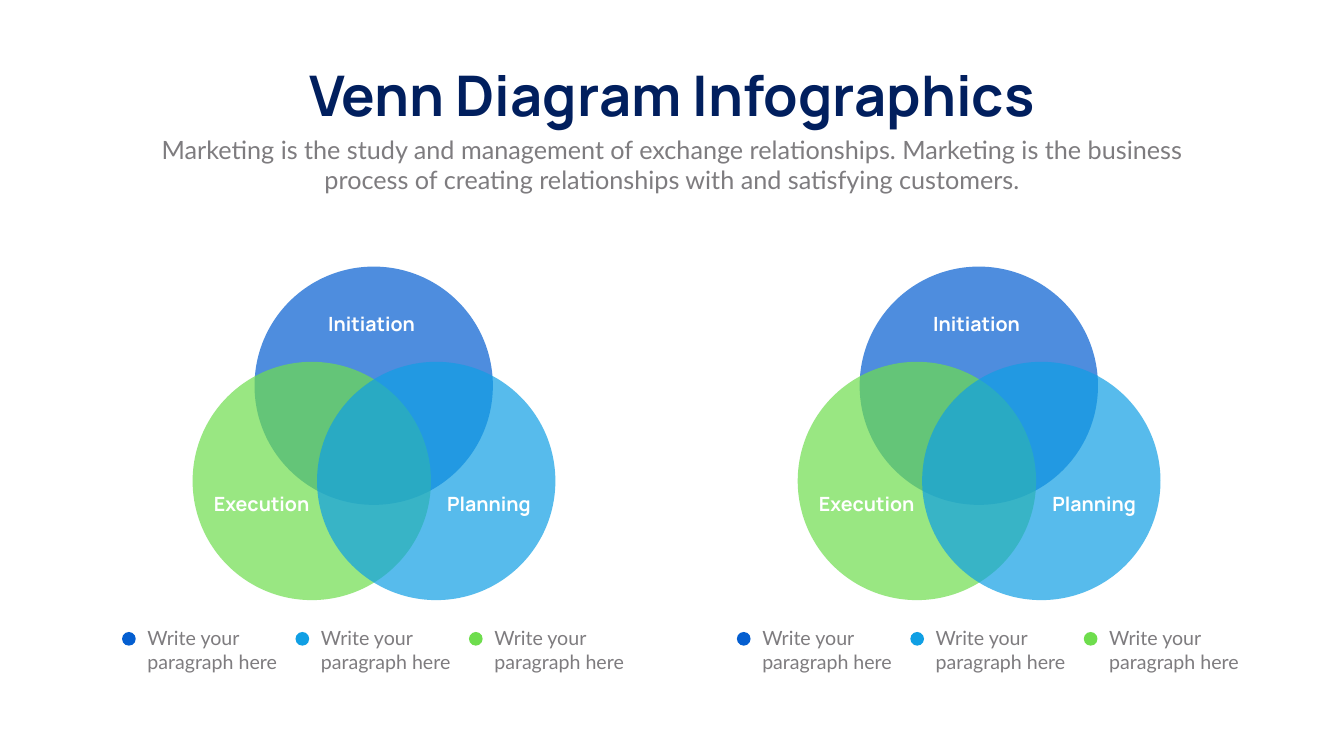
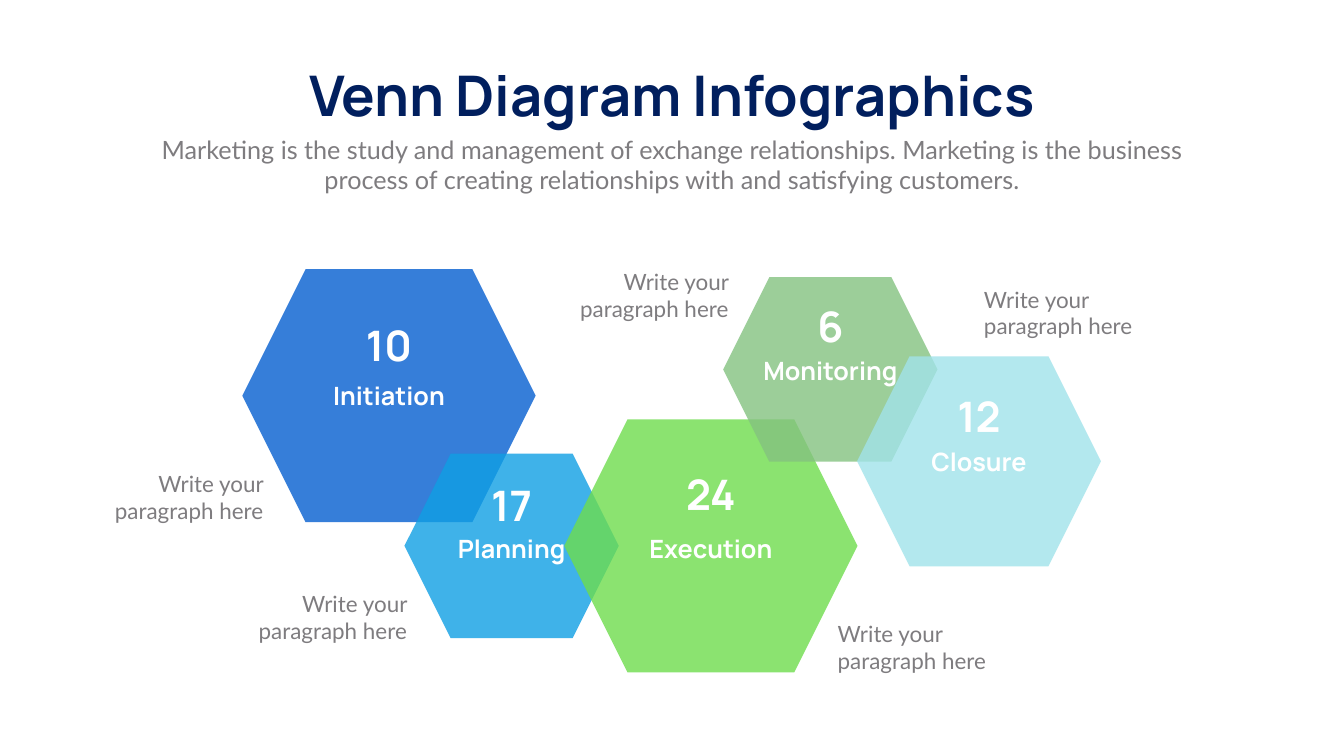
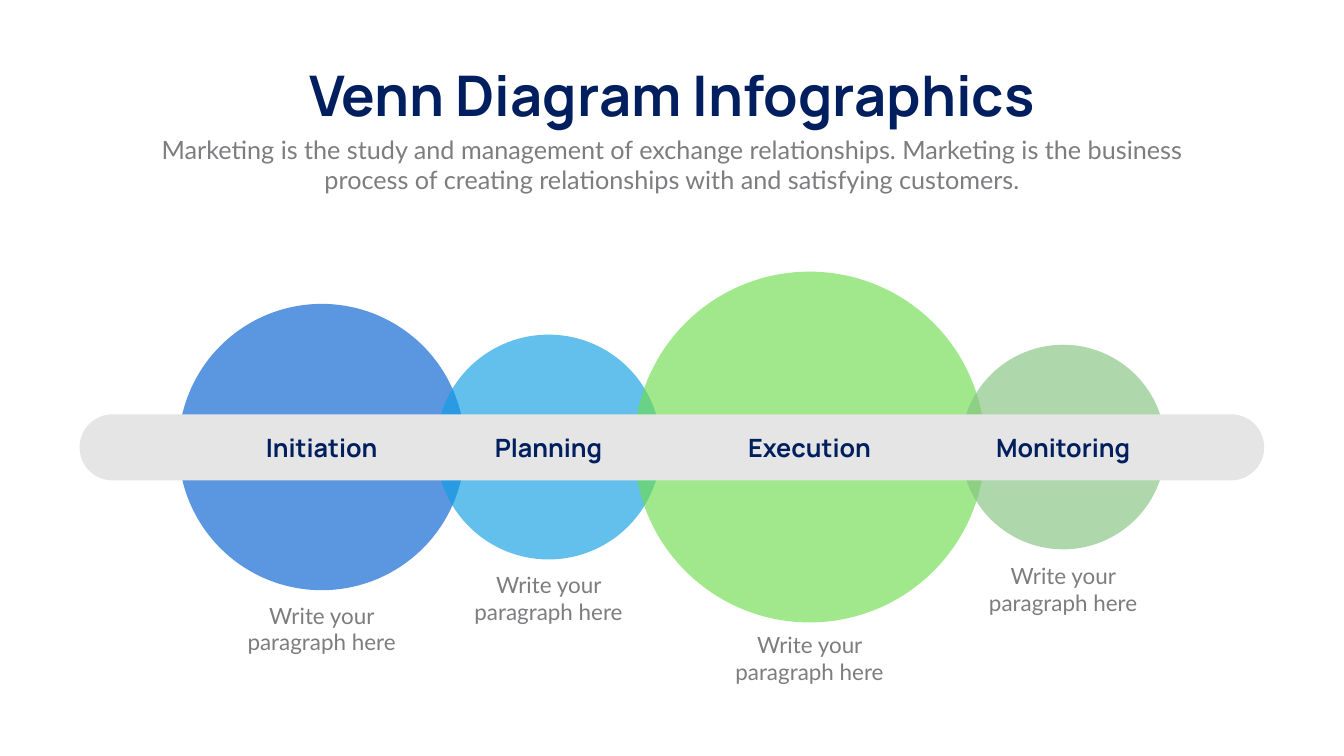
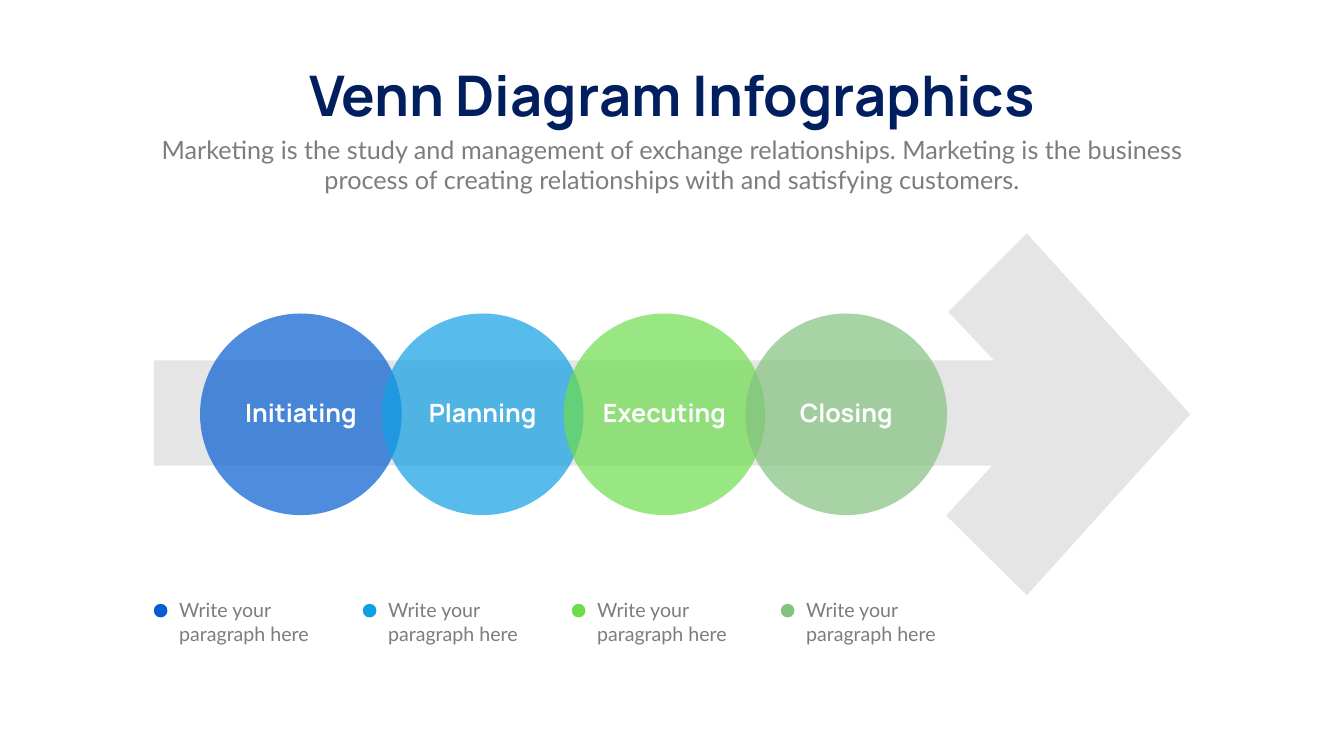
from typing import NamedTuple

from lxml.etree import SubElement
from pptx import Presentation
from pptx.dml.color import RGBColor as Rgb
from pptx.enum.shapes import MSO_SHAPE as Kind
from pptx.enum.text import MSO_ANCHOR as Anchor, MSO_AUTO_SIZE as Fit, PP_ALIGN as Align
from pptx.oxml.ns import qn
from pptx.shapes.base import BaseShape as Shape
from pptx.slide import Slide
from pptx.util import Cm, Pt

WIDTH, HEIGHT = 67.72, 38.1
COLORS = {
    "navy": "011F5E", "gray": "7E7C7F", "white": "FFFFFF", "pale": "E5E5E5",
    "blue": "045ED0", "sky": "109FE4", "green": "6EDD4D", "sage": "84C280",
    "aqua": "A1E3EA",
}
FONTS = {
    "title": {"name": "Manrope", "size": Pt(80), "bold": True},
    "lead": {"name": "Lato", "size": Pt(36), "bold": False},
    "number": {"name": "Manrope", "size": Pt(60), "bold": True},
    "label": {"name": "Manrope", "size": Pt(36), "bold": True},
    "tag": {"name": "Manrope", "size": Pt(28), "bold": True},
    "note": {"name": "Lato", "size": Pt(32), "bold": False},
    "key": {"name": "Lato", "size": Pt(28), "bold": False},
}
FRAME = {"word_wrap": True, "auto_size": Fit.NONE, "vertical_anchor": Anchor.TOP}
TITLE = "Venn Diagram Infographics"
LEAD = ("Marketing is the study and management of exchange relationships. "
        "Marketing is the business process of creating relationships with "
        "and satisfying customers.")
NOTE = "Write your paragraph here"


class Box(NamedTuple):
    """Left, top, width and height in centimetres."""
    x: float
    y: float
    w: float
    h: float


class Ring(NamedTuple):
    label: str
    color: str
    x: float
    y: float
    tag_x: float
    tag_y: float


class Hexa(NamedTuple):
    label: str
    number: str
    color: str
    x: float
    y: float
    w: float
    h: float
    number_y: float
    label_y: float
    note_x: float
    note_y: float
    align: Align


class Ball(NamedTuple):
    label: str
    color: str
    x: float
    size: float
    note_y: float


RINGS = [
    Ring("Initiation", "blue", 18.83, 19.44, 18.72, 15.57),
    Ring("Execution", "green", 15.71, 24.24, 13.18, 24.69),
    Ring("Planning", "sky", 21.98, 24.24, 24.64, 24.69),
]
HEXAS = [
    Hexa("Initiation", "10", "blue", 19.6, 19.94, 14.78, 12.75,
         16, 19.05, 4.22, 23.55, Align.RIGHT),
    Hexa("Planning", "17", "sky", 25.78, 27.51, 10.8, 9.3,
         24.03, 26.75, 11.46, 29.62, Align.RIGHT),
    Hexa("Execution", "24", "green", 35.82, 27.51, 14.78, 12.75,
         23.47, 26.75, 41.96, 31.12, Align.LEFT),
    Hexa("Monitoring", "6", "sage", 41.84, 18.62, 10.8, 9.3,
         15.04, 17.78, 27.66, 13.41, Align.RIGHT),
    Hexa("Closure", "12", "aqua", 49.33, 23.25, 12.29, 10.59,
         19.56, 22.35, 49.33, 14.27, Align.LEFT),
]
BALLS = [
    Ball("Initiation", "blue", 16.21, 14.43, 30.2),
    Ball("Planning", "sky", 27.64, 11.33, 28.65),
    Ball("Execution", "green", 40.79, 17.68, 31.7),
    Ball("Monitoring", "sage", 53.57, 10.31, 28.19),
]
STEPS = {"Initiating": "blue", "Planning": "sky", "Executing": "green", "Closing": "sage"}
ARROW = [
    (51.74, 30), (59.97, 20.88), (51.74, 11.76), (47.78, 15.72), (50.09, 18.16),
    (7.75, 18.16), (7.75, 23.47), (49.99, 23.47), (47.68, 25.98),
]


def apply(target: object, values: dict) -> None:
    for name, value in values.items():
        setattr(target, name, value)


def place(box: Box) -> list[Cm]:
    return [Cm(side) for side in box]


def write(shape: Shape, text: str, font: str, color: str, align: Align) -> None:
    frame = shape.text_frame
    apply(frame, FRAME)
    frame.text = text
    line = frame.paragraphs[0]
    apply(line, {"alignment": align, "space_before": Pt(0)})
    apply(line.font, FONTS[font])
    line.font.color.rgb = Rgb.from_string(COLORS[color])


def put(slide: Slide, box: Box, text: str, font: str, color: str = "gray",
        align: Align = Align.CENTER) -> None:
    write(slide.shapes.add_textbox(*place(box)), text, font, color, align)


def paint(shape: Shape, color: str, alpha: int = 100) -> None:
    """Fill a shape flat, with alpha as its opacity in percent."""
    shape.shadow.inherit = False
    shape.line.fill.background()
    shape.fill.solid()
    shape.fill.fore_color.rgb = Rgb.from_string(COLORS[color])
    if alpha < 100:
        tone = shape.fill._xPr.find(".//" + qn("a:srgbClr"))
        SubElement(tone, qn("a:alpha"), val=str(alpha * 1000))


def draw(slide: Slide, kind: Kind, box: Box, color: str, alpha: int = 100) -> Shape:
    shape = slide.shapes.add_shape(kind, *place(box))
    paint(shape, color, alpha)
    return shape


def disc(slide: Slide, x: float, y: float, size: float, color: str, alpha: int) -> None:
    """Draw a circle around its centre."""
    box = Box(x - size / 2, y - size / 2, size, size)
    draw(slide, Kind.OVAL, box, color, alpha)


def center(x: float, y: float, w: float, h: float) -> Box:
    """Box whose middle is at x and whose top is at y."""
    return Box(x - w / 2, y, w, h)


def legend(slide: Slide, x: float, y: float, step: float, colors: list[str]) -> None:
    for i, color in enumerate(colors):
        left = x + i * step
        put(slide, Box(left + 1.03, y - 0.42, 7.37, 2.64), NOTE, "key", align=Align.LEFT)
        draw(slide, Kind.OVAL, Box(left, y, 0.69, 0.69), color)


def start(deck: Presentation) -> Slide:
    """Add a slide with the shared title and lead."""
    slide = deck.slides.add_slide(deck.slide_layouts[0])
    heads = [
        (TITLE, "title", "navy", center(WIDTH / 2, 2.9, 50.75, 3.68)),
        (LEAD, "lead", "gray", center(WIDTH / 2, 6.63, 52.88, 3.33)),
    ]
    for holder, (text, font, color, box) in zip(slide.placeholders, heads):
        apply(holder, dict(zip(("left", "top", "width", "height"), place(box))))
        write(holder, text, font, color, Align.CENTER)
    return slide


def twins(slide: Slide) -> None:
    for shift in (0, 30.49):
        for ring in RINGS:
            disc(slide, ring.x + shift, ring.y, 12.01, ring.color, 70)
        for ring in RINGS:
            box = center(ring.tag_x + shift, ring.tag_y, 7.42, 1.45)
            put(slide, box, ring.label, "tag", "white")
    for left in (6.15, 37.13):
        legend(slide, left, 31.85, 8.74, ["blue", "sky", "green"])


def comb(slide: Slide) -> None:
    for hexa in HEXAS:
        box = center(hexa.x, hexa.y - hexa.h / 2, hexa.w, hexa.h)
        draw(slide, Kind.HEXAGON, box, hexa.color, 80)
    for hexa in HEXAS:
        put(slide, center(hexa.x, hexa.label_y, 9.42, 1.8), hexa.label, "label", "white")
        put(slide, center(hexa.x, hexa.number_y, 5.99, 2.82), hexa.number, "number", "white")
        put(slide, Box(hexa.note_x, hexa.note_y, 9.3, 3), NOTE, "note", align=hexa.align)


def chain(slide: Slide) -> None:
    for ball in BALLS:
        disc(slide, ball.x, 22.53, ball.size, ball.color, 65)
    bar = draw(slide, Kind.ROUNDED_RECTANGLE, Box(4.01, 20.88, 59.69, 3.33), "pale")
    bar.adjustments[0] = 0.5
    for ball in BALLS:
        put(slide, center(ball.x, 21.64, 9.42, 1.8), ball.label, "label", "navy")
        put(slide, center(ball.x, ball.note_y, 9.3, 3), NOTE, "note")


def march(slide: Slide) -> None:
    first, *rest = [(Cm(x), Cm(y)) for x, y in ARROW]
    pen = slide.shapes.build_freeform(*first)
    pen.add_line_segments(rest, close=True)
    paint(pen.convert_to_shape(), "pale")
    spots = [15.16 + 9.16 * i for i in range(len(STEPS))]
    for x, color in zip(spots, STEPS.values()):
        disc(slide, x, 20.88, 10.16, color, 70)
    for x, label in zip(spots, STEPS):
        put(slide, center(x, 19.91, 8.13, 1.8), label, "label", "white")
    legend(slide, 7.75, 30.43, 10.53, list(STEPS.values()))


def main() -> None:
    deck = Presentation()
    apply(deck, {"slide_width": Cm(WIDTH), "slide_height": Cm(HEIGHT)})
    for fill in (twins, comb, chain, march):
        fill(start(deck))
    deck.save("out.pptx")


if __name__ == "__main__":
    main()
